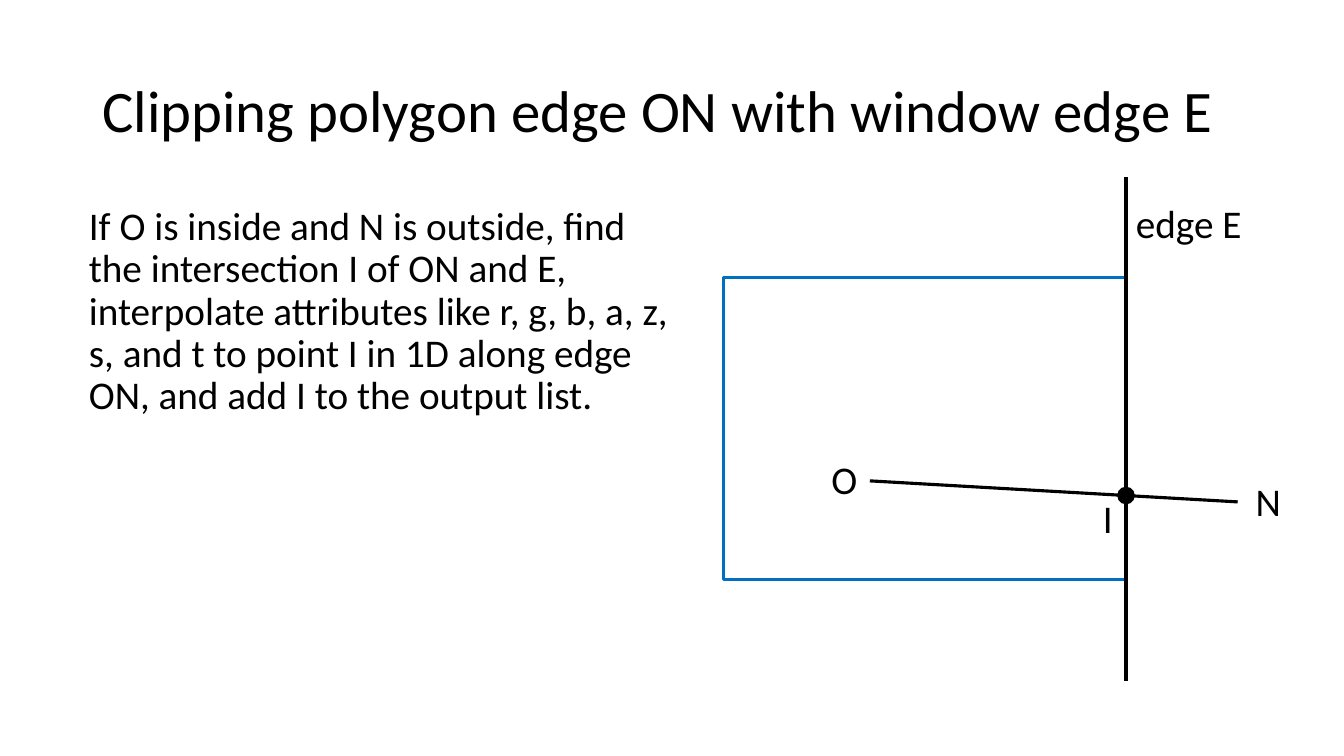
from dataclasses import dataclass

import pptx
import pptx.dml.color
import pptx.enum.shapes
import pptx.enum.text
import pptx.oxml.ns
import pptx.shapes.base
import pptx.slide
import pptx.util
from lxml import etree

# Grid of 160 columns by 90 rows, each cell 1/12 inch square
COLS, ROWS = 160, 90
CELL = pptx.util.Inches(1) / 12


@dataclass(frozen=True)
class Theme:
    font: str = "Calibri"
    ink: str = "000000"
    window: str = "0070C0"
    title_size: float = 42
    text_size: float = 28
    line_width: float = 2.25


@dataclass(frozen=True)
class Box:
    col: float
    row: float
    cols: float
    rows: float


@dataclass(frozen=True)
class Label:
    text: str
    box: Box
    size: float
    spacing: float = 0.9
    middle: bool = False


@dataclass(frozen=True)
class Segment:
    col1: float
    row1: float
    col2: float
    row2: float

    def row_at(self, col: float) -> float:
        share = (col - self.col1) / (self.col2 - self.col1)
        return self.row1 + share * (self.row2 - self.row1)


THEME = Theme()


def grid(*cells: float) -> list[pptx.util.Emu]:
    return [pptx.util.Emu(round(n * CELL)) for n in cells]


def rgb(value: str) -> pptx.dml.color.RGBColor:
    return pptx.dml.color.RGBColor.from_string(value)


def add_label(slide: pptx.slide.Slide, label: Label) -> None:
    b = label.box
    tf = slide.shapes.add_textbox(*grid(b.col, b.row, b.cols, b.rows)).text_frame
    tf.word_wrap = True
    if label.middle:
        tf.vertical_anchor = pptx.enum.text.MSO_ANCHOR.MIDDLE
    p = tf.paragraphs[0]
    p.text = label.text
    p.line_spacing = label.spacing
    p.font.name = THEME.font
    p.font.size = pptx.util.Pt(label.size)
    p.font.color.rgb = rgb(THEME.ink)


def add_segment(slide: pptx.slide.Slide, seg: Segment) -> None:
    sp = slide.shapes.add_connector(
        pptx.enum.shapes.MSO_CONNECTOR.STRAIGHT,
        *grid(seg.col1, seg.row1, seg.col2, seg.row2))
    sp.line.color.rgb = rgb(THEME.ink)
    sp.line.width = pptx.util.Pt(THEME.line_width)
    etree.SubElement(sp._element.spPr, pptx.oxml.ns.qn("a:effectLst"))


def add_shape(slide: pptx.slide.Slide, kind: pptx.enum.shapes.MSO_SHAPE,
              b: Box) -> pptx.shapes.base.BaseShape:
    sp = slide.shapes.add_shape(kind, *grid(b.col, b.row, b.cols, b.rows))
    sp.shadow.inherit = False
    return sp


# Geometry: window edge E, polygon edge ON and their intersection I
EDGE_COL = 134.05
WINDOW_COL = 86.15
DOT = 2.1
edge_e = Segment(EDGE_COL, 21.1, EDGE_COL, 81.1)
edge_on = Segment(103.55, 57.25, 147.35, 59.75)
window_box = Box(WINDOW_COL, 33, EDGE_COL - WINDOW_COL, 36)
dot_box = Box(EDGE_COL - DOT / 2, edge_on.row_at(EDGE_COL) - DOT / 2, DOT, DOT)

LABELS = [
    Label("Clipping polygon edge ON with window edge E",
          Box(11, 4.8, 138, 17.4), THEME.title_size, middle=True),
    Label("If O is inside and N is outside, find the intersection I of ON and E, "
          "interpolate attributes like r, g, b, a, z, s, and t to point I in 1D "
          "along edge ON, and add I to the output list.",
          Box(9.4, 24, 71.5, 63.6), THEME.text_size),
    Label("edge E", Box(EDGE_COL, 23.75, 15.6, 7.8), THEME.text_size),
    Label("O", Box(97.8, 54.25, 7.45, 7.8), THEME.text_size),
    Label("N", Box(148.3, 57.35, 6.6, 6), THEME.text_size, spacing=0.8),
    Label("I", Box(130.1, 58.9, 7.45, 7.8), THEME.text_size),
]


def main() -> None:
    prs = pptx.Presentation()
    prs.slide_width, prs.slide_height = grid(COLS, ROWS)
    slide = prs.slides.add_slide(prs.slide_layouts[6])

    # Clipping window
    window = add_shape(slide, pptx.enum.shapes.MSO_SHAPE.RECTANGLE, window_box)
    window.fill.background()
    window.line.color.rgb = rgb(THEME.window)
    window.line.width = pptx.util.Pt(THEME.line_width)

    # Edges E and ON
    for seg in (edge_e, edge_on):
        add_segment(slide, seg)

    # Title, explanation and point names
    for label in LABELS:
        add_label(slide, label)

    # Intersection point
    dot = add_shape(slide, pptx.enum.shapes.MSO_SHAPE.OVAL, dot_box)
    dot.fill.solid()
    dot.fill.fore_color.rgb = rgb(THEME.ink)
    dot.line.fill.background()

    prs.save("out.pptx")


if __name__ == "__main__":
    main()
